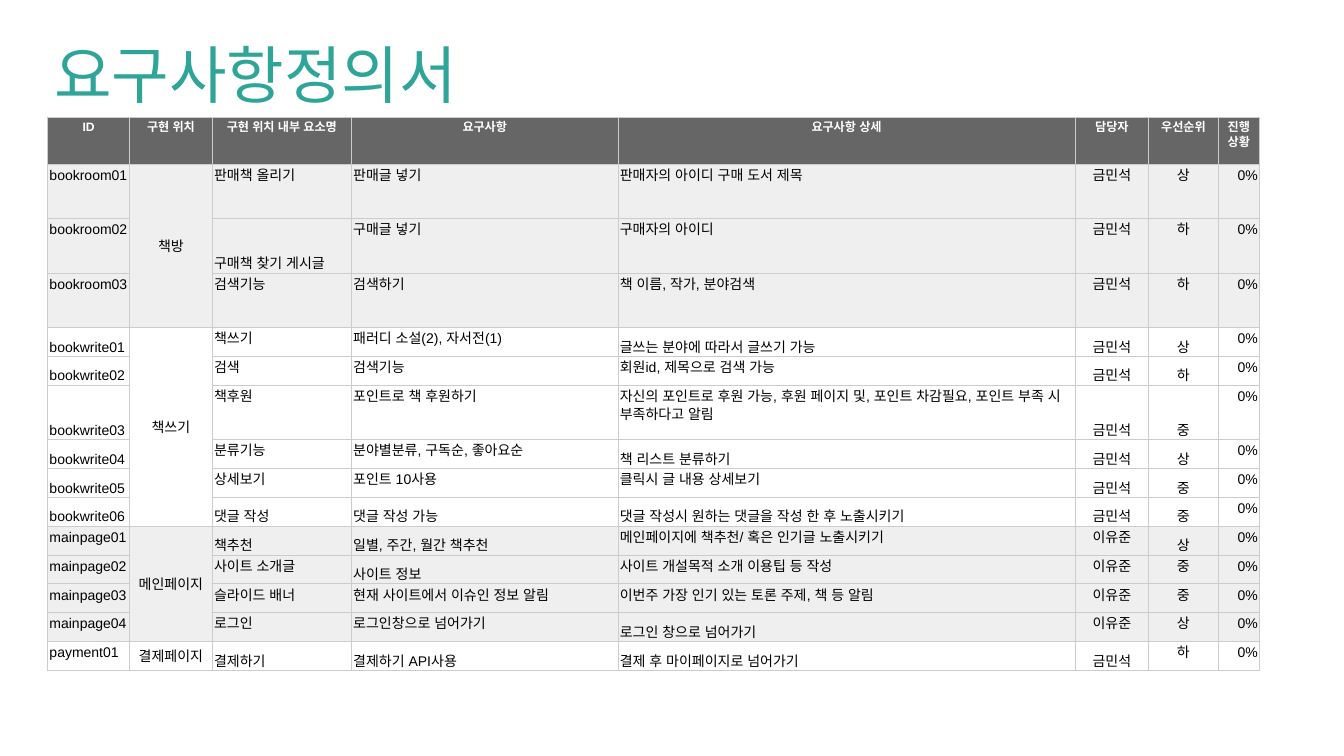
from lxml import etree
from pptx import Presentation
from pptx.dml.color import RGBColor
from pptx.enum.text import MSO_ANCHOR as ANCHOR, PP_ALIGN as ALIGN
from pptx.oxml.ns import qn
from pptx.util import Cm, Pt

TEAL = RGBColor(0x2F, 0xA5, 0x99)
WHITE = RGBColor(0xFF, 0xFF, 0xFF)
BLACK = RGBColor(0x00, 0x00, 0x00)
DARK_GRAY = RGBColor(0x66, 0x66, 0x66)
LIGHT_GRAY = RGBColor(0xEF, 0xEF, 0xEF)
BORDER = RGBColor(0xCC, 0xCC, 0xCC)

ANCHORS = {"t": ANCHOR.TOP, "m": ANCHOR.MIDDLE, "b": ANCHOR.BOTTOM}
MARGINS = {"margin_left": Cm(0.07), "margin_right": Cm(0.07),
           "margin_top": Cm(0.05), "margin_bottom": Cm(0.05)}
TITLE_FONT = {"size": Pt(67), "name": "Arial"}
HEAD_FONT = {"size": Pt(13), "name": "Arial", "bold": True}
BODY_FONT = {"size": Pt(15), "name": "Arial", "bold": False}

HEADINGS = ["ID", "구현 위치", "구현 위치 내부 요소명", "요구사항", "요구사항 상세",
            "담당자", "우선순위", "진행 상황"]
COL_WIDTHS = [3.1, 3.12, 5.26, 10.08, 17.27, 2.79, 2.62, 1.57]
COL_ALIGNS = [ALIGN.LEFT, ALIGN.CENTER, ALIGN.LEFT, ALIGN.LEFT, ALIGN.LEFT,
              ALIGN.CENTER, ALIGN.CENTER, ALIGN.RIGHT]
PLACE_COL = 1
HEAD_HEIGHT, TALL, SHORT = 1.78, 2.06, 1.09

# Group: place, id prefix, owner, fill, rows.
# Row: element, requirement, detail, priority, anchor of each column, height.
GROUPS = [
    ("책방", "bookroom", "금민석", LIGHT_GRAY, [
        ("판매책 올리기", "판매글 넣기", "판매자의 아이디 구매 도서 제목", "상", "tmtttttt", TALL),
        ("구매책 찾기 게시글", "구매글 넣기", "구매자의 아이디", "하", "tmbttttt", TALL),
        ("검색기능", "검색하기", "책 이름, 작가, 분야검색", "하", "tmtttttt", TALL),
    ]),
    ("책쓰기", "bookwrite", "금민석", WHITE, [
        ("책쓰기", "패러디 소설(2), 자서전(1)", "글쓰는 분야에 따라서 글쓰기 가능", "상", "bmttbbbt", SHORT),
        ("검색", "검색기능", "회원id, 제목으로 검색 가능", "하", "bmtttbbt", SHORT),
        ("책후원", "포인트로 책 후원하기",
         "자신의 포인트로 후원 가능, 후원 페이지 및, 포인트 차감필요, 포인트 부족 시 부족하다고 알림",
         "중", "bmtttbbt", TALL),
        ("분류기능", "분야별분류, 구독순, 좋아요순", "책 리스트 분류하기", "상", "bmttbbbt", SHORT),
        ("상세보기", "포인트 10사용", "클릭시 글 내용 상세보기", "중", "bmtttbbt", SHORT),
        ("댓글 작성", "댓글 작성 가능", "댓글 작성시 원하는 댓글을 작성 한 후 노출시키기",
         "중", "bmbbbbbt", SHORT),
    ]),
    ("메인페이지", "mainpage", "이유준", LIGHT_GRAY, [
        ("책추천", "일별, 주간, 월간 책추천", "메인페이지에 책추천/ 혹은 인기글 노출시키기",
         "상", "tmbbttbt", SHORT),
        ("사이트 소개글", "사이트 정보", "사이트 개설목적 소개 이용팁 등 작성", "중", "tmtbtttt", SHORT),
        ("슬라이드 배너", "현재 사이트에서 이슈인 정보 알림", "이번주 가장 인기 있는 토론 주제, 책 등 알림",
         "중", "tmtttttt", SHORT),
        ("로그인", "로그인창으로 넘어가기", "로그인 창으로 넘어가기", "상", "tmttbttt", SHORT),
    ]),
    ("결제페이지", "payment", "금민석", WHITE, [
        ("결제하기", "결제하기 API사용", "결제 후 마이페이지로 넘어가기", "하", "tmbbbbtt", SHORT),
    ]),
]


class Deck:
    def __init__(self, width, height):
        self.prs = Presentation()
        self.prs.slide_width, self.prs.slide_height = width, height
        self.s = self.prs.slides.add_slide(self.prs.slide_layouts[6])

    def put_text(self, tf, text, font, color, align):
        p = tf.paragraphs[0]
        p.alignment = align
        r = p.add_run()
        r.text = text
        for name, value in font.items():
            setattr(r.font, name, value)
        r.font.color.rgb = color
        # Hangul takes its typeface from the East Asian font slot
        etree.SubElement(r._r.get_or_add_rPr(), qn("a:ea"), typeface=font["name"])
        return p

    def title(self, text, left, top, width, height):
        tf = self.s.shapes.add_textbox(left, top, width, height).text_frame
        tf.word_wrap = True
        self.put_text(tf, text, TITLE_FONT, TEAL, ALIGN.JUSTIFY)

    def table(self, left, top, widths, heights):
        shape = self.s.shapes.add_table(len(heights), len(widths), left, top,
                                        Cm(sum(widths)), Cm(sum(heights)))
        tbl = shape.table
        tbl.first_row = tbl.horz_banding = False
        for col, width in zip(tbl.columns, widths):
            col.width = Cm(width)
        for row, height in zip(tbl.rows, heights):
            row.height = Cm(height)
        return tbl

    def cell(self, cell, text, font, color, fill, align, anchor):
        for name, value in MARGINS.items():
            setattr(cell, name, value)
        cell.vertical_anchor = anchor
        self.border(cell)
        cell.fill.solid()
        cell.fill.fore_color.rgb = fill
        if text:
            p = self.put_text(cell.text_frame, text, font, color, align)
            p.line_spacing = 1.15

    def border(self, cell):
        tc_pr = cell._tc.get_or_add_tcPr()
        for side in ("lnL", "lnR", "lnT", "lnB"):
            ln = etree.SubElement(tc_pr, qn(f"a:{side}"), w=str(Pt(0.75)))
            fill = etree.SubElement(ln, qn("a:solidFill"))
            etree.SubElement(fill, qn("a:srgbClr"), val=str(BORDER))


def main():
    deck = Deck(Cm(50.8), Cm(28.58))
    deck.title("요구사항정의서", Cm(1.8), Cm(1.24), Cm(18.42), Cm(3.18))

    heights = [HEAD_HEIGHT] + [row[-1] for group in GROUPS for row in group[-1]]
    tbl = deck.table(Cm(1.8), Cm(4.42), COL_WIDTHS, heights)
    for c, heading in enumerate(HEADINGS):
        deck.cell(tbl.cell(0, c), heading, HEAD_FONT, WHITE, DARK_GRAY,
                  ALIGN.CENTER, ANCHOR.TOP)

    first = 1
    for place, prefix, owner, fill, rows in GROUPS:
        for i, (element, need, detail, priority, anchors, _) in enumerate(rows):
            texts = [f"{prefix}{i + 1:02}", "" if i else place, element, need,
                     detail, owner, priority, "0%"]
            for c, (text, align, anchor) in enumerate(zip(texts, COL_ALIGNS, anchors)):
                deck.cell(tbl.cell(first + i, c), text, BODY_FONT, BLACK, fill,
                          align, ANCHORS[anchor])
        last = first + len(rows) - 1
        if last > first:
            tbl.cell(first, PLACE_COL).merge(tbl.cell(last, PLACE_COL))
        first = last + 1

    deck.prs.save("out.pptx")


if __name__ == "__main__":
    main()
